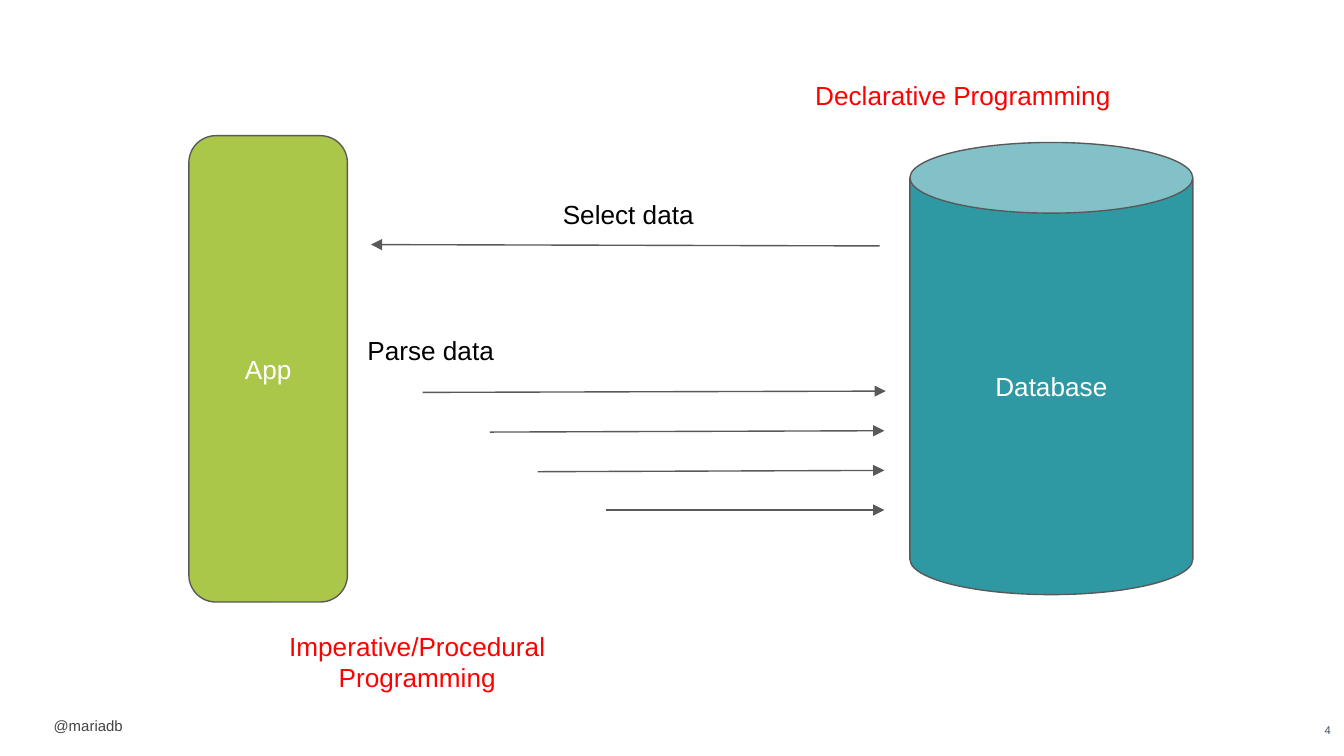
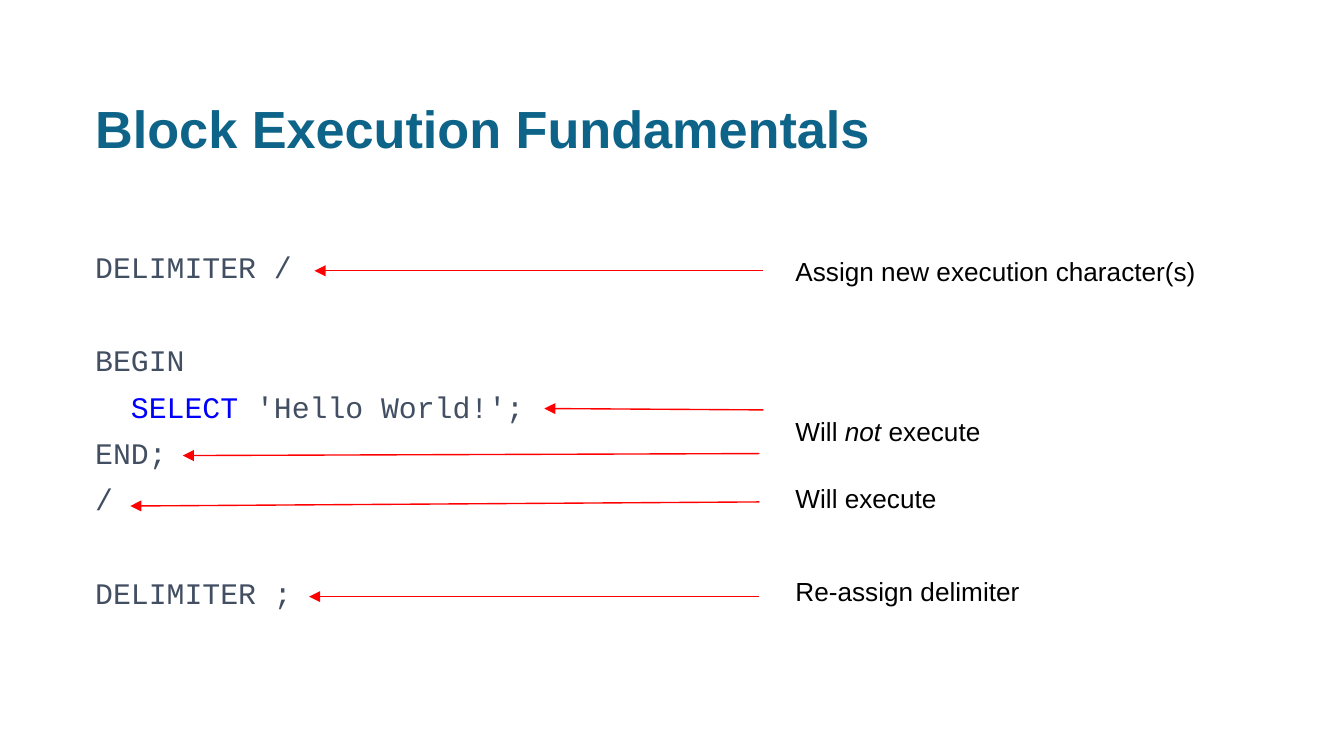
from lxml.etree import SubElement
from pptx import Presentation
from pptx.dml.color import RGBColor
from pptx.enum.shapes import MSO_CONNECTOR as CONNECTOR, MSO_SHAPE as SHAPE
from pptx.enum.text import MSO_ANCHOR as ANCHOR, PP_ALIGN as ALIGN
from pptx.oxml.ns import qn
from pptx.util import Emu, Pt

PX = 4572  # 200 px to the inch
PAGE_WIDTH, PAGE_HEIGHT = 2000, 1125
COLORS = {
    "black": "000000", "white": "FFFFFF", "red": "FF0000", "line": "595959",
    "green": "ABC74A", "teal": "2F99A3", "title": "0E6488",
    "slate": "424F62", "footer": "434343", "keyword": "0000FF",
}
BODY_FONT, CODE_FONT = "Arial", "Courier New"
INSET = 20
LABEL_HEIGHT = 88


def px(*lengths):
    return [Emu(length * PX) for length in lengths]


def rgb(name):
    return RGBColor.from_string(COLORS[name])


def set_font(para, size, color, name=BODY_FONT, bold=False):
    font = para.font
    font.size, font.name, font.bold = Pt(size), name, bold
    font.color.rgb = rgb(color)


def prepare_frame(shape, anchor):
    frame = shape.text_frame
    frame.word_wrap = True
    frame.vertical_anchor = anchor
    (frame.margin_left, frame.margin_top,
     frame.margin_right, frame.margin_bottom) = px(*[INSET] * 4)
    return frame


def add_label(page, box, text, size=14, color="black", align=ALIGN.LEFT,
              anchor=ANCHOR.TOP, bold=False):
    frame = prepare_frame(page.shapes.add_textbox(*px(*box)), anchor)
    para = frame.paragraphs[0]
    para.alignment = align
    set_font(para, size, color, bold=bold)
    para.add_run().text = text
    return para


def add_node(page, box, preset, adjustment, fill, text):
    shape = page.shapes.add_shape(preset, *px(*box))
    shape.adjustments[0] = adjustment
    shape.shadow.inherit = False
    shape.fill.solid()
    shape.fill.fore_color.rgb = rgb(fill)
    shape.line.color.rgb = rgb("line")
    shape.line.width = Pt(0.75)
    para = prepare_frame(shape, ANCHOR.MIDDLE).paragraphs[0]
    para.alignment = ALIGN.CENTER
    set_font(para, 14, "white")
    para.add_run().text = text


def add_arrow(page, start, tip, color):
    arrow = page.shapes.add_connector(CONNECTOR.STRAIGHT, *px(*start, *tip))
    arrow.line.color.rgb = rgb(color)
    arrow.line.width = Pt(0.75)
    properties = arrow._element.spPr
    SubElement(properties.find(qn("a:ln")), qn("a:tailEnd"), type="triangle")
    SubElement(properties, qn("a:effectLst"))


def add_footer(page, box, handle, number):
    left, top, width, height = box
    add_label(page, (left + width - 120, top, 120, height), number, 6, "slate",
              ALIGN.RIGHT, ANCHOR.MIDDLE)
    add_label(page, (left + 60, top + 9, 222, 62), handle, 8, "footer")


def add_exchange(page, box):
    """Draw the traffic between the app and the database."""
    left, top, width, height = box
    right = left + width
    add_arrow(page, (right - 9, top + 90), (left + 34, top + 88), "line")
    add_label(page, (left + 258, top, 318, LABEL_HEIGHT), "Select data",
              align=ALIGN.CENTER)
    add_label(page, (left + 9, top + 202, 336, LABEL_HEIGHT), "Parse data")
    for start, tip, start_y, tip_y in ((111, 0, 308, 306), (211, 2, 367, 365),
                                       (282, 2, 426, 424), (384, 2, 483, 483)):
        add_arrow(page, (left + start, top + start_y),
                  (right - tip, top + tip_y), "line")


def build_programming_page(deck):
    page = deck.slides.add_slide(deck.slide_layouts[6])
    add_footer(page, (0, 1044, PAGE_WIDTH, 86), "@mariadb", "4")
    add_node(page, (1354, 212, 421, 673), SHAPE.CAN, 0.25, "teal", "Database")
    add_node(page, (281, 202, 236, 694), SHAPE.ROUNDED_RECTANGLE, 0.17,
             "green", "App")
    add_exchange(page, (518, 276, 800, 484))
    for box, text in (((1175, 98, 516, LABEL_HEIGHT), "Declarative Programming"),
                      ((363, 918, 516, 134), "Imperative/Procedural Programming")):
        add_label(page, box, text, color="red", align=ALIGN.CENTER)


def add_code(page, box):
    frame = prepare_frame(page.shapes.add_textbox(*px(*box)), ANCHOR.TOP)
    step, gap = 3, 28  # points before a line, and before a new block
    lines = (("DELIMITER /", 0), ("BEGIN", gap),
             ("  SELECT 'Hello World!';", step), ("END;", step), ("/", step),
             ("DELIMITER ;", gap))
    for index, (line, before) in enumerate(lines):
        para = frame.paragraphs[0] if index == 0 else frame.add_paragraph()
        para.line_spacing = 1.14
        para.space_before = Pt(before)
        set_font(para, 16, "slate", CODE_FONT)
        indent, keyword, rest = line.partition("SELECT")
        for text in filter(None, (indent, keyword, rest)):
            span = para.add_run()
            span.text = text
            if text == keyword:
                span.font.color.rgb = rgb("keyword")


def add_notes_column(page, box):
    left, top, width, height = box
    notes = ((0, ("Assign new execution character(s)",)),
             (238, ("Will ", "not", " execute")),
             (338, ("Will execute",)),
             (476, ("Re-assign delimiter",)))
    for offset, (first, *others) in notes:
        para = add_label(page, (left, top + offset, width, LABEL_HEIGHT), first)
        for text in others:
            span = para.add_run()
            span.text = text
            span.font.italic = text == "not"


def build_execution_page(deck):
    page = deck.slides.add_slide(deck.slide_layouts[6])
    add_label(page, (122, 124, 1838, 126), "Block Execution Fundamentals", 28,
              "title", bold=True)
    add_code(page, (122, 343, 818, 565))
    for start, tip in (((1136, 403), (468, 403)), ((1136, 610), (810, 608)),
                       ((1130, 675), (272, 678)), ((1130, 747), (194, 753)),
                       ((1130, 888), (460, 888))):
        add_arrow(page, start, tip, "red")
    add_notes_column(page, (1164, 360, 656, 564))


def main():
    deck = Presentation()
    deck.slide_width, deck.slide_height = px(PAGE_WIDTH, PAGE_HEIGHT)
    build_programming_page(deck)
    build_execution_page(deck)
    deck.save("out.pptx")


if __name__ == "__main__":
    main()
